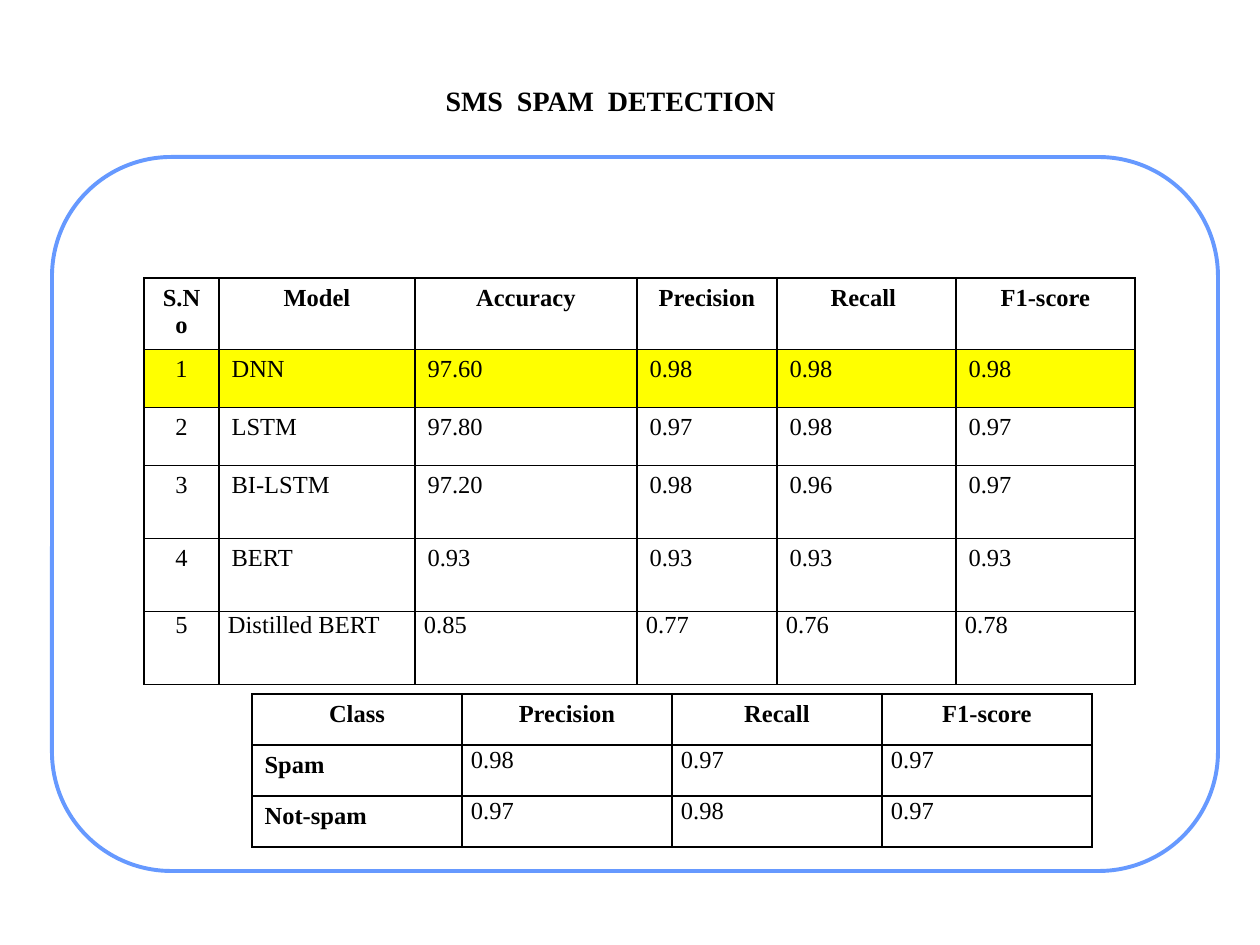
from dataclasses import dataclass

from lxml.etree import SubElement
from pptx import Presentation
from pptx.dml.color import RGBColor as Rgb
from pptx.enum.shapes import MSO_SHAPE as Shape
from pptx.enum.text import MSO_ANCHOR as Anchor
from pptx.enum.text import MSO_AUTO_SIZE as Fit
from pptx.enum.text import PP_ALIGN as Align
from pptx.oxml import parse_xml
from pptx.oxml.ns import nsdecls, qn
from pptx.util import Pt

SCALE = 914400 / 126  # EMU in one px


@dataclass(frozen=True)
class Theme:
    font: str = "Times New Roman"
    ink: str = "000000"
    paper: str = "FFFFFF"
    frame: str = "6699FF"
    mark: str = "FFFF00"
    head: int = 16
    body: int = 14
    rule: float = 1
    edge: float = 2.25


def emu(*px):
    return [round(n * SCALE) for n in px]


class Deck:
    def __init__(self, theme, wide, high):
        self.theme = theme
        self.show = Presentation()
        self.show.slide_width, self.show.slide_height = emu(wide, high)
        self.slide = self.show.slides.add_slide(self.show.slide_layouts[5])

    def style(self, para, size, bold=False, align=Align.LEFT):
        para.alignment = align
        font = para.font
        font.name, font.size, font.bold = self.theme.font, Pt(size), bold
        font.color.rgb = Rgb.from_string(self.theme.ink)

    def title(self, text, *box):
        shape = self.slide.shapes.title
        shape.left, shape.top, shape.width, shape.height = emu(*box)
        frame = shape.text_frame
        frame.text = text
        frame.word_wrap = False
        frame.auto_size = Fit.SHAPE_TO_FIT_TEXT
        frame.vertical_anchor = Anchor.TOP
        self.style(frame.paragraphs[0], self.theme.head, bold=True)

    def panel(self, *box):
        shape = self.slide.shapes.add_shape(Shape.ROUNDED_RECTANGLE, *emu(*box))
        shape.adjustments[0] = 0.167
        shape.shadow.inherit = False
        shape.fill.solid()
        shape.fill.fore_color.rgb = Rgb.from_string(self.theme.paper)
        shape.line.color.rgb = Rgb.from_string(self.theme.frame)
        shape.line.width = Pt(self.theme.edge)

    def border(self, cell):
        props = cell._tc.get_or_add_tcPr()
        for spot, side in enumerate(("lnL", "lnR", "lnT", "lnB")):
            line = parse_xml(f"<a:{side} {nsdecls('a')}/>")
            line.set("w", str(Pt(self.theme.rule)))
            fill = SubElement(line, qn("a:solidFill"))
            SubElement(fill, qn("a:srgbClr"), val=self.theme.ink)
            props.insert(spot, line)

    def cell(self, cell, text, bold, align, fill=None, tight=False):
        cell.text = text
        if fill:
            cell.fill.solid()
            cell.fill.fore_color.rgb = Rgb.from_string(fill)
        else:
            cell.fill.background()
        if tight:
            cell.margin_left, cell.margin_right = emu(9, 9)
            cell.margin_top = cell.margin_bottom = 0
        self.border(cell)
        para = cell.text_frame.paragraphs[0]
        self.style(para, self.theme.body, bold, align)
        return para

    def table(self, left, top, cols, rows, data, rule):
        """Fill a grid; rule(row, col) gives the look of one body cell."""
        box = emu(left, top, sum(cols), sum(rows))
        table = self.slide.shapes.add_table(len(rows), len(cols), *box).table
        table.first_row = table.horz_banding = False
        for col, wide in zip(table.columns, emu(*cols)):
            col.width = wide
        for row, high in zip(table.rows, emu(*rows)):
            row.height = high
        for r, line in enumerate(data):
            for c, text in enumerate(line):
                look = rule(r, c) if r else dict(bold=True, align=Align.CENTER)
                space = look.pop("space", None)
                para = self.cell(table.cell(r, c), text, **look)
                if space:
                    para.line_spacing, para.space_after = space[0], Pt(space[1])

    def save(self):
        self.show.save("out.pptx")


MODELS = [
    ("S.No", "Model", "Accuracy", "Precision", "Recall ", "F1-score"),
    ("1", "DNN", "97.60", "0.98", "0.98", "0.98"),
    ("2", "LSTM", "97.80", "0.97", "0.98", "0.97"),
    ("3", "BI-LSTM", "97.20", "0.98", "0.96", "0.97"),
    ("4", "BERT", "0.93", "0.93", "0.93", "0.93"),
    ("5", "Distilled BERT", "0.85", "0.77", "0.76", "0.78"),
]
CLASSES = [
    ("Class", "Precision", "Recall", "F1-score"),
    ("Spam", "0.98", "0.97", "0.97"),
    ("Not-spam", "0.97", "0.98", "0.97"),
]


def main():
    theme = Theme()
    deck = Deck(theme, 1260, 945)

    # Title and frame
    deck.title("SMS  SPAM  DETECTION", 433, 77, 362, 47)
    deck.panel(52, 157, 1166, 714)

    # Scores by model, best one marked
    def model(row, col):
        return dict(
            bold=False,
            align=Align.LEFT if col else Align.CENTER,
            fill=theme.mark if row == 1 else None,
            tight=row == len(MODELS) - 1,
        )

    cols = [75, 196, 222, 140, 179, 179]
    deck.table(144, 278, cols, [54, 58, 58, 73, 73, 73], MODELS, model)

    # Scores by class
    def label(row, col):
        return dict(
            bold=col == 0,
            align=Align.LEFT,
            tight=col > 0,
            space=(1.07, 8) if col else None,
        )

    deck.table(252, 694, [210] * 4, [51] * 3, CLASSES, label)

    deck.save()


if __name__ == "__main__":
    main()
